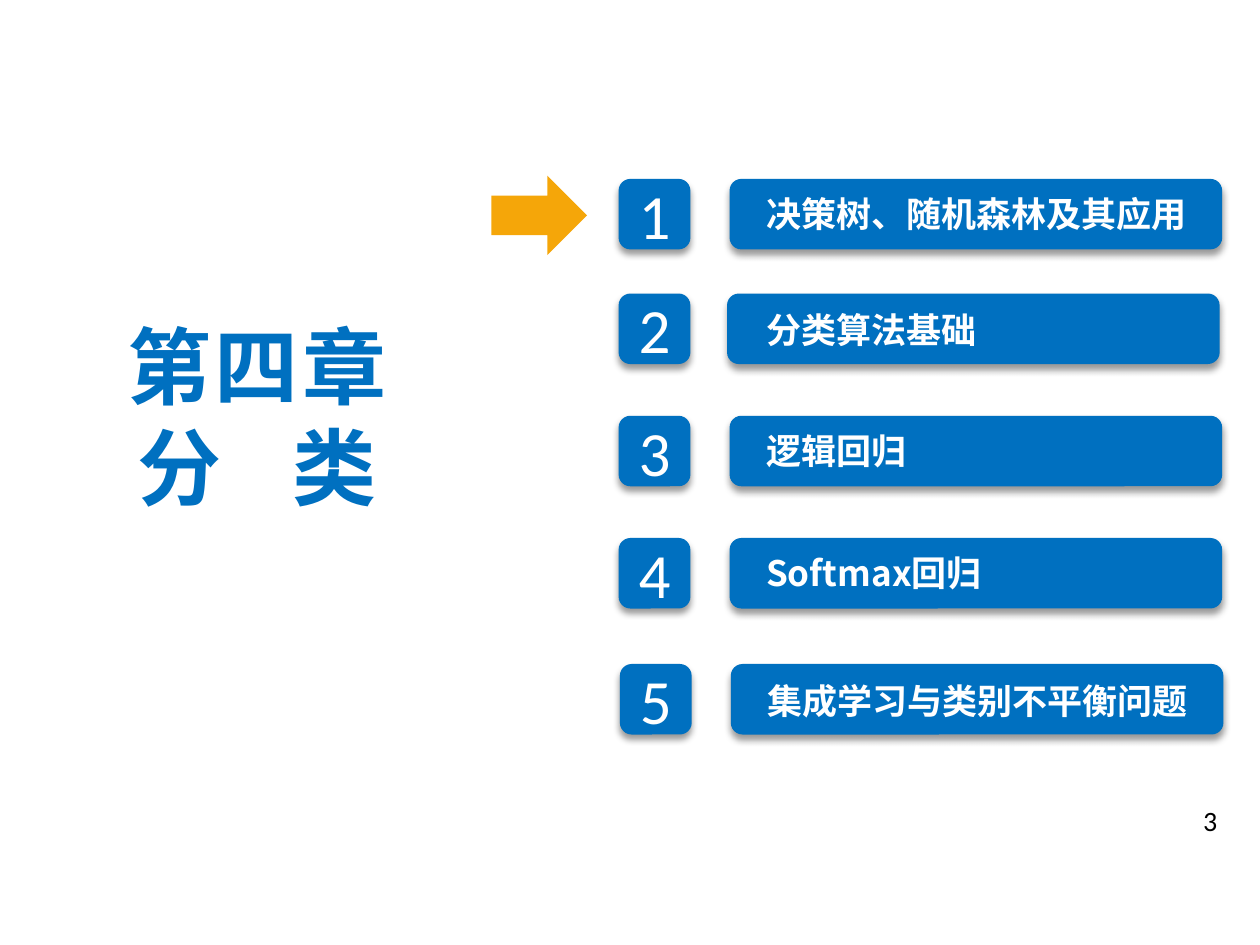
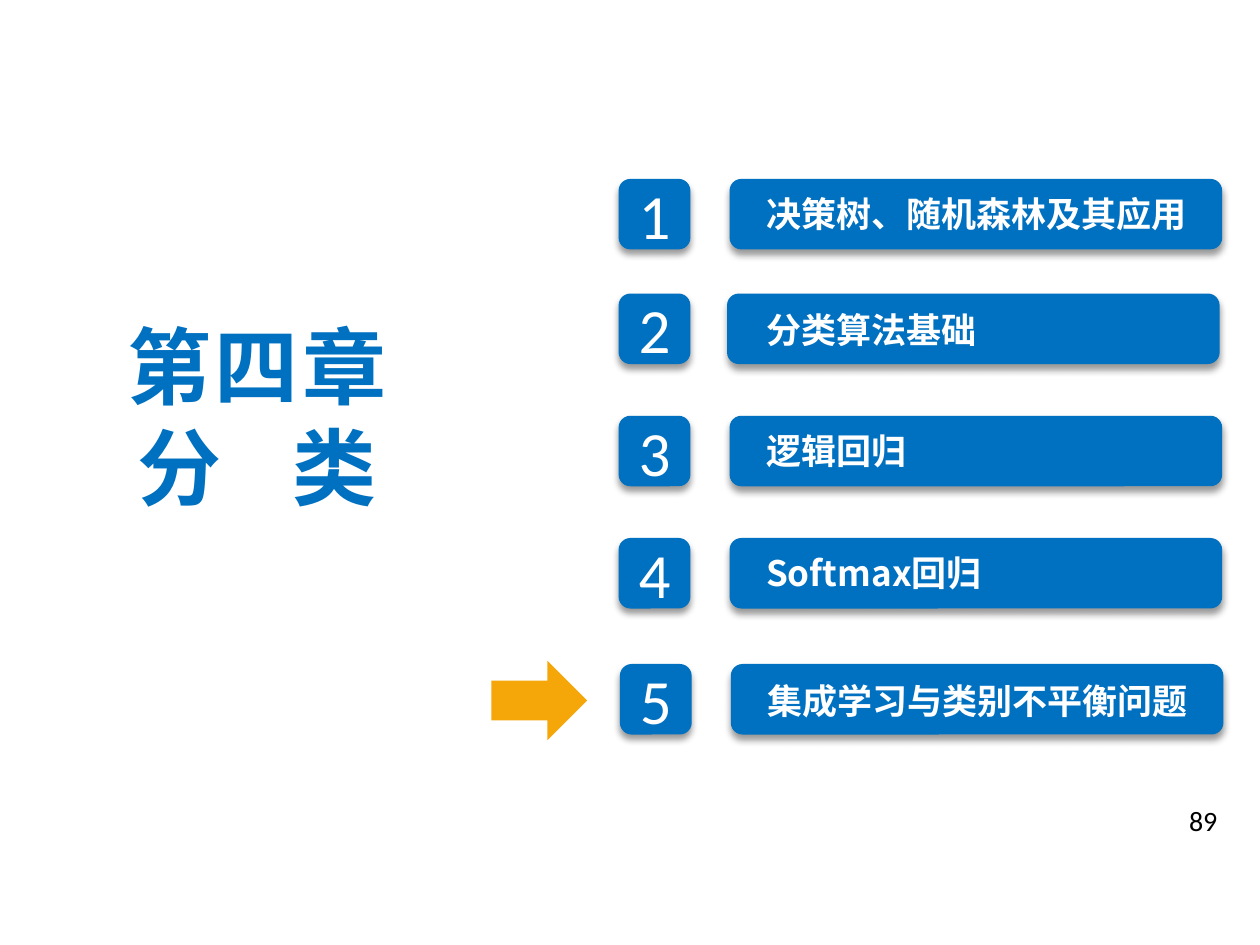
from lxml import etree
from pptx import Presentation
from pptx.dml.color import RGBColor
from pptx.enum.shapes import MSO_SHAPE as Kind
from pptx.enum.text import MSO_ANCHOR as Anchor, MSO_AUTO_SIZE as Fit, PP_ALIGN as Align
from pptx.oxml import parse_xml
from pptx.oxml.ns import nsdecls, qn
from pptx.util import Inches, Pt

BLUE = RGBColor(0x00, 0x70, 0xC0)
AMBER = RGBColor(0xF5, 0xA6, 0x09)
WHITE = RGBColor(0xFF, 0xFF, 0xFF)
BLACK = RGBColor(0x00, 0x00, 0x00)
LATIN = "Calibri"
HAN = "Noto Sans CJK SC"

# Section name, row top, left of the number, left of the bar, top and left of the label
ROWS = [
    ("决策树、随机森林及其应用", 1.42, 4.91, 5.79, 1.46, 5.95),
    ("分类算法基础", 2.33, 4.91, 5.77, 2.38, 5.95),
    ("逻辑回归", 3.3, 4.91, 5.79, 3.34, 5.95),
    ("Softmax回归", 4.27, 4.91, 5.79, 4.31, 5.95),
    ("集成学习与类别不平衡问题", 5.27, 4.92, 5.8, 5.32, 5.96),
]
ROW_H = 0.56

SHADOW = (
    f'<a:effectLst {nsdecls("a")}>'
    '<a:outerShdw blurRad="50800" dist="38100" dir="5400000" rotWithShape="0">'
    '<a:srgbClr val="000000"><a:alpha val="40000"/></a:srgbClr>'
    "</a:outerShdw></a:effectLst>"
)


class Deck:
    def __init__(self):
        self.prs = Presentation()
        self.prs.slide_width = Inches(10)
        self.prs.slide_height = Inches(7.5)
        self.slide = None

    def new(self):
        self.slide = self.prs.slides.add_slide(self.prs.slide_layouts[6])

    def shape(self, kind, box, color, home=None):
        """Add a plain filled shape to the slide, or to the group given as home."""
        home = home or self.slide
        item = home.shapes.add_shape(kind, *map(Inches, box))
        item.shadow.inherit = False
        item.fill.solid()
        item.fill.fore_color.rgb = color
        item.line.fill.background()
        return item

    def panel(self, box, home=None):
        """Add a blue rounded panel with a soft shadow below it."""
        item = self.shape(Kind.ROUNDED_RECTANGLE, box, BLUE, home)
        props = item._element.spPr
        props.remove(props.find(qn("a:effectLst")))
        props.append(parse_xml(SHADOW))
        return item

    def text(self, box, home=None):
        home = home or self.slide
        frame = home.shapes.add_textbox(*map(Inches, box)).text_frame
        frame.word_wrap = True
        return frame

    def inset(self, frame):
        frame.margin_left = frame.margin_right = Inches(0.13)
        frame.margin_top = frame.margin_bottom = Inches(0.07)

    def run(self, para, words, size, color, face=LATIN, bold=False, gap=0):
        """Add a run; gap is the letter spacing in points."""
        part = para.add_run()
        part.text = words
        font = part.font
        font.size = Pt(size)
        font.bold = bold
        font.color.rgb = color
        font.name = face
        props = part._r.get_or_add_rPr()
        etree.SubElement(props, qn("a:ea")).set("typeface", face)
        if gap:
            props.set("spc", str(round(gap * 100)))

    def badge(self, num, left, top):
        frame = self.panel((left, top, 0.57, ROW_H)).text_frame
        self.inset(frame)
        frame.vertical_anchor = Anchor.MIDDLE
        para = frame.paragraphs[0]
        para.alignment = Align.CENTER
        self.run(para, str(num), 36, WHITE)

    def bar(self, name, left, top, text_left, text_top):
        group = self.slide.shapes.add_group_shape()
        self.panel((left, top, 3.91, ROW_H), group)
        frame = self.text((text_left, text_top, 3.65, 0.47), group)
        self.inset(frame)
        frame.auto_size = Fit.SHAPE_TO_FIT_TEXT
        self.run(frame.paragraphs[0], name, 20, WHITE, HAN, True)

    def title(self):
        frame = self.text((0, 2.43, 4.08, 1.75))
        self.inset(frame)
        frame.auto_size = Fit.SHAPE_TO_FIT_TEXT
        lines = [[("第四章", 2)], [("分", 2), (" ", 27.5), ("类", 2)]]
        for i, line in enumerate(lines):
            para = frame.add_paragraph() if i else frame.paragraphs[0]
            para.alignment = Align.CENTER
            for words, gap in line:
                self.run(para, words, 48, BLUE, HAN, True, gap)

    def arrow(self, top):
        """Point at the row that starts at top."""
        high = 0.63
        mid = top + ROW_H / 2
        self.shape(Kind.RIGHT_ARROW, (3.9, mid - high / 2 + 0.01, 0.76, high), AMBER)

    def page(self, num):
        para = self.text((7.43, 6.33, 2.33, 0.3)).paragraphs[0]
        para.alignment = Align.RIGHT
        self.run(para, str(num), 16, BLACK)

    def agenda(self, active, page):
        """Draw the chapter overview with the arrow at the active section."""
        self.new()
        self.title()
        for num, (name, top, left, bar_left, text_top, text_left) in enumerate(ROWS, 1):
            self.badge(num, left, top)
            self.bar(name, bar_left, top, text_left, text_top)
            if num == active:
                self.arrow(top)
        self.page(page)


def main():
    deck = Deck()
    deck.agenda(active=1, page=3)
    deck.agenda(active=5, page=89)
    deck.prs.save("out.pptx")


if __name__ == "__main__":
    main()
